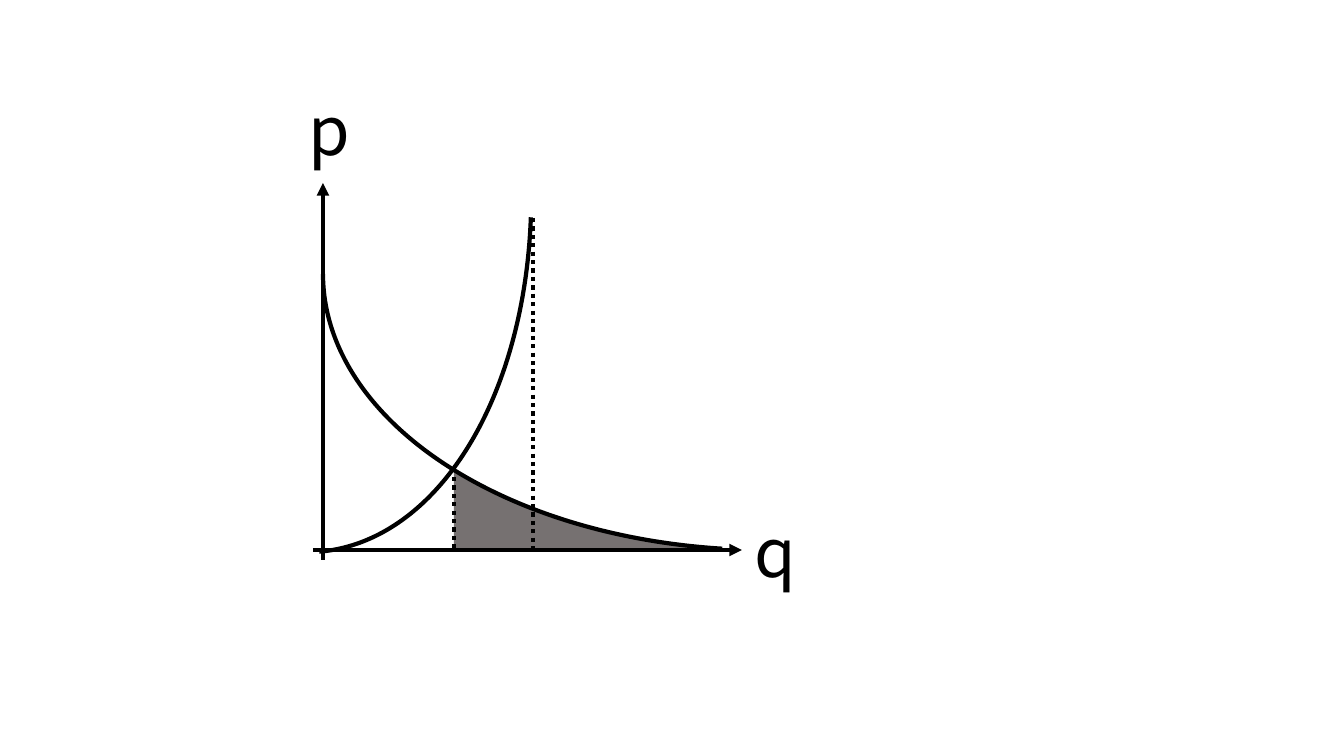
from dataclasses import dataclass
from math import sqrt

from lxml import etree
from pptx import Presentation
from pptx.dml.color import RGBColor as Rgb
from pptx.enum.dml import MSO_LINE as Dash
from pptx.enum.shapes import MSO_CONNECTOR as Link, MSO_SHAPE as Kind
from pptx.enum.text import MSO_AUTO_SIZE as Fit
from pptx.oxml.ns import qn
from pptx.util import Emu, Pt


@dataclass(frozen=True)
class Theme:
    ink: Rgb = Rgb(0, 0, 0)
    shade: Rgb = Rgb(0x76, 0x71, 0x71)
    font: str = "Noto Sans CJK SC"
    size: Pt = Pt(48)
    stroke: Pt = Pt(3)


THEME = Theme()
SIZE = (1344, 756)
BASE = 550  # height of the q axis
LABELS = [("p", 299, 83), ("q", 745, 505)]
LABEL_BOX = (45, 92)
AXES = [(323, 560, 323, 183), (313, BASE, 742, BASE)]
DROPS = [(533, 218, 533, BASE), (454, 477, 454, BASE)]
# box, rotation in degrees, start of the arc
SUPPLY = ((-101, -78, 777, 485), 85.3, 172.165)
DEMAND = ((323, -2, 885, 552), 180, 167.378)
SHADE_FROM, SHADE_TO, STEPS = 454, 721, 40


def px(n):
    return Emu(round(n * 914400 / 100.8))


def ink(line):
    line.color.rgb = THEME.ink
    line.width = THEME.stroke


def add_line(shapes, ends, arrow=False):
    link = shapes.add_connector(Link.STRAIGHT, *map(px, ends))
    ink(link.line)
    if arrow:
        tip = etree.SubElement(link.line._get_or_add_ln(), qn("a:tailEnd"))
        tip.set("type", "triangle")
    else:
        link.line.dash_style = Dash.ROUND_DOT
    etree.SubElement(link._element.spPr, qn("a:effectLst"))


def add_curve(shapes, box, turn, start):
    arc = shapes.add_shape(Kind.ARC, *map(px, box))
    arc.rotation = turn
    arc.adjustments[0] = start
    arc.adjustments[1] = 0
    arc.fill.background()
    arc.shadow.inherit = False
    ink(arc.line)


def add_shade(shapes):
    """Fill the area between the demand curve and the q axis."""
    left, top, width, height = DEMAND[0]
    rx, ry = width / 2, height / 2
    step = (SHADE_TO - SHADE_FROM) / STEPS
    edge = []
    for i in range(STEPS + 1):
        x = SHADE_FROM + i * step
        y = top + ry + ry * sqrt(1 - ((x - left - rx) / rx) ** 2)
        edge.append((px(x), px(y)))
    pen = shapes.build_freeform(px(SHADE_FROM), px(BASE))
    pen.add_line_segments(edge + [(px(SHADE_TO), px(BASE))])
    area = pen.convert_to_shape()
    area.fill.solid()
    area.fill.fore_color.rgb = THEME.shade
    area.line.fill.background()
    area.shadow.inherit = False


def add_label(shapes, text, x, y):
    frame = shapes.add_textbox(*map(px, (x, y, *LABEL_BOX))).text_frame
    frame.word_wrap = False
    frame.auto_size = Fit.SHAPE_TO_FIT_TEXT
    frame.text = text
    font = frame.paragraphs[0].font
    font.name, font.size = THEME.font, THEME.size
    font.color.rgb = THEME.ink


def main():
    deck = Presentation()
    deck.slide_width, deck.slide_height = map(px, SIZE)
    shapes = deck.slides.add_slide(deck.slide_layouts[6]).shapes
    add_shade(shapes)
    for ends in AXES:
        add_line(shapes, ends, arrow=True)
    for label in LABELS:
        add_label(shapes, *label)
    add_curve(shapes, *SUPPLY)
    for ends in DROPS:
        add_line(shapes, ends)
    add_curve(shapes, *DEMAND)
    deck.save("out.pptx")


if __name__ == "__main__":
    main()
